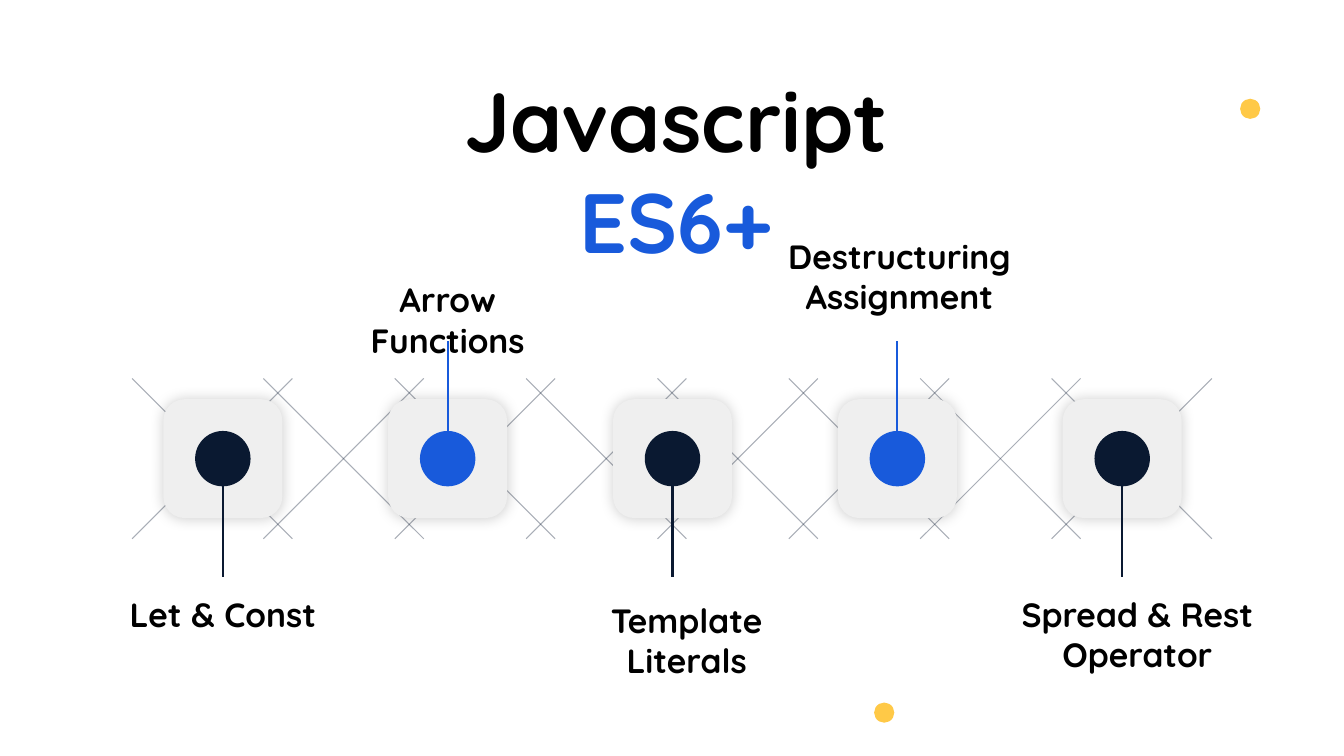
from pptx import Presentation
from pptx.dml.color import RGBColor
from pptx.enum.shapes import MSO_CONNECTOR, MSO_SHAPE
from pptx.enum.text import MSO_ANCHOR, MSO_AUTO_SIZE, PP_ALIGN
from pptx.oxml import parse_xml
from pptx.oxml.ns import nsdecls, qn
from pptx.util import Pt

PX = 9144  # EMU per px, 100 px to the inch
STRAIGHT = MSO_CONNECTOR.STRAIGHT
OVAL, ROUNDED = MSO_SHAPE.OVAL, MSO_SHAPE.ROUNDED_RECTANGLE
TOP, CENTER = MSO_ANCHOR.TOP, PP_ALIGN.CENTER
GROW = MSO_AUTO_SIZE.SHAPE_TO_FIT_TEXT

FONT = "Quicksand"
BLACK, NAVY, BLUE = "000000", "0A1931", "185ADB"
GREY, YELLOW = "EFEFEF", "FFC947"

MID_X, MID_Y = 667, 455
STEP = 223
TILE, DOT, STEM = 118, 55, 117
LATTICE_LEFT, LATTICE_SPAN, LATTICE_GAPS, CROSS = 131, 912, 7, 159

# label, left, top, height
TOPICS = [
    ("Let & Const", 85, 584, 50),
    ("Arrow Functions", 308, 272, 91),
    ("Template Literals", 545, 590, 91),
    ("Destructuring Assignment", 756, 229, 91),
    ("Spread & Rest Operator", 992, 584, 91),
]


def px(*lengths):
    return [round(n * PX) for n in lengths]


def rgb(color):
    return RGBColor.from_string(color)


def add_line(s, x1, y1, x2, y2, color, width, alpha=None):
    """Draw a straight line; alpha is its opacity in percent."""
    line = s.shapes.add_connector(STRAIGHT, *px(x1, y1, x2, y2))
    line.line.color.rgb = rgb(color)
    line.line.width = Pt(width)
    spPr = line._element.spPr
    spPr.append(parse_xml(f"<a:effectLst {nsdecls('a')}/>"))
    if alpha:
        clr = next(spPr.iter(qn("a:srgbClr")))
        clr.append(parse_xml(f'<a:alpha {nsdecls("a")} val="{alpha * 1000}"/>'))


def add_centred(s, preset, x, y, size, color):
    """Add a square-bounded shape around the point x, y."""
    sp = s.shapes.add_shape(preset, *px(x - size / 2, y - size / 2, size, size))
    sp.shadow.inherit = False
    sp.fill.solid()
    sp.fill.fore_color.rgb = rgb(color)
    sp.line.fill.background()
    return sp


def add_tile(s, x, y):
    sp = add_centred(s, ROUNDED, x, y, TILE, GREY)
    sp.adjustments[0] = 0.18
    effects = sp._element.spPr.find(qn("a:effectLst"))
    effects.append(parse_xml(
        f'<a:outerShdw {nsdecls("a")} blurRad="{Pt(10)}" dist="0" dir="0" '
        f'algn="ctr" rotWithShape="0"><a:srgbClr val="{BLACK}">'
        '<a:alpha val="20000"/></a:srgbClr></a:outerShdw>'))


def set_text(tf, parts, size):
    """Fill a frame with one centred paragraph of (text, colour) runs."""
    tf.word_wrap = True
    tf.auto_size = GROW
    tf.vertical_anchor = TOP
    p = tf.paragraphs[0]
    p.alignment = CENTER
    for text, color in parts:
        r = p.add_run()
        r.text = text
        r.font.name = FONT
        r.font.size = Pt(size)
        r.font.bold = True
        r.font.color.rgb = rgb(color)


def add_title(s):
    title = s.shapes.title
    title.left, title.top, title.width, title.height = px(398, 63, 545, 210)
    set_text(title.text_frame, [("Javascript ", BLACK), ("ES6+", BLUE)], 60)


def add_lattice(s):
    top, bottom = MID_Y - CROSS / 2, MID_Y + CROSS / 2
    for i in range(LATTICE_GAPS + 1):
        left = LATTICE_LEFT + LATTICE_SPAN * i / LATTICE_GAPS
        add_line(s, left, top, left + CROSS, bottom, NAVY, 0.75, 35)
        add_line(s, left + CROSS, top, left, bottom, NAVY, 0.75, 35)


def add_topic(s, i, label, left, top, height):
    """Add a tile with its dot, its stem (odd ones go up) and its label."""
    x = MID_X + STEP * (i - 2)
    color, direction = (BLUE, -1) if i % 2 else (NAVY, 1)
    add_tile(s, x, MID_Y)
    add_centred(s, OVAL, x, MID_Y, DOT, color)
    add_line(s, x, MID_Y, x, MID_Y + direction * STEM, color, 1.5)
    box = s.shapes.add_textbox(*px(left, top, 272, height))
    set_text(box.text_frame, [(label, BLACK)], 24)


def main():
    prs = Presentation()
    prs.slide_width, prs.slide_height = px(1333, 750)
    s = prs.slides.add_slide(prs.slide_layouts[5])
    add_title(s)
    add_lattice(s)
    for i, topic in enumerate(TOPICS):
        add_topic(s, i, *topic)
    for x, y in [(1240, 108), (877, 707)]:
        add_centred(s, OVAL, x, y, 20, YELLOW)
    prs.save("out.pptx")


if __name__ == "__main__":
    main()
